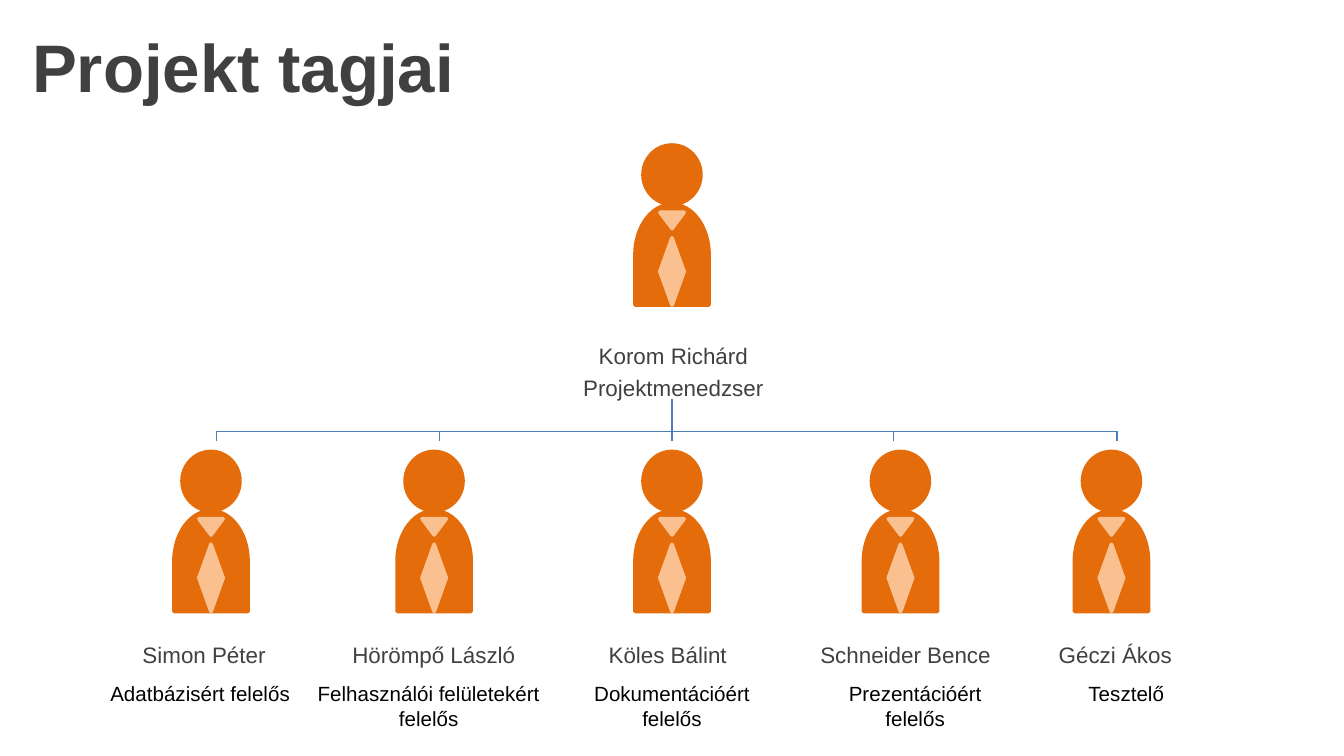
from lxml import etree
from pptx import Presentation
from pptx import util as u
from pptx.dml.color import RGBColor
from pptx.enum import shapes, text
from pptx.oxml.ns import qn

COLORS = {"body": "E46C0A", "tie": "FAC090", "line": "4B7EBC",
          "dark": "404040", "black": "000000"}
SHAPE = shapes.MSO_SHAPE
LEFT, CENTER = text.PP_ALIGN.LEFT, text.PP_ALIGN.CENTER
TOP, MIDDLE = text.MSO_ANCHOR.TOP, text.MSO_ANCHOR.MIDDLE


class Chart:
    font = "Arial"

    def __init__(self, slide):
        self.s = slide

    def color(self, name):
        return RGBColor.from_string(COLORS[name])

    def text(self, box, lines, size=12, color="dark", bold=False,
             align=CENTER, anchor=TOP, before=0, inset=0.1, tabs=()):
        sp = self.s.shapes.add_textbox(*map(u.Inches, box))
        tf = sp.text_frame
        frame = {"word_wrap": True, "vertical_anchor": anchor,
                 "margin_left": u.Inches(inset)}
        for key, value in frame.items():
            setattr(tf, key, value)
        for i, line in enumerate(lines):
            p = tf.paragraphs[0] if i == 0 else tf.add_paragraph()
            p.alignment, p.space_before = align, u.Pt(before)
            if tabs:
                stops = etree.SubElement(p._p.get_or_add_pPr(), qn("a:tabLst"))
                for x in tabs:
                    pos = u.Inches(x - box[0] - inset)
                    etree.SubElement(stops, qn("a:tab"), pos=str(int(pos)), algn="ctr")
            r = p.add_run()
            r.text = line
            style = {"name": self.font, "size": u.Pt(size), "bold": bold}
            for key, value in style.items():
                setattr(r.font, key, value)
            r.font.color.rgb = self.color(color)

    def person(self, x, y):
        group = self.s.shapes.add_group_shape()
        parts = [
            (SHAPE.OVAL, 0, 0.43, 0.44, 0, "body"),
            (SHAPE.FLOWCHART_DELAY, 0.54, 0.75, 0.55, 270, "body"),
            (SHAPE.ISOSCELES_TRIANGLE, 0.5, 0.18, 0.12, 180, "tie"),
            (SHAPE.ISOSCELES_TRIANGLE, 0.69, 0.18, 0.25, 0, "tie"),
            (SHAPE.ISOSCELES_TRIANGLE, 0.94, 0.18, 0.25, 180, "tie"),
        ]
        for kind, dy, w, h, turn, color in parts:
            sp = group.shapes.add_shape(
                kind, *map(u.Inches, (x - w / 2, y + dy, w, h)))
            sp.rotation = turn
            sp.shadow.inherit = False
            sp.fill.solid()
            sp.fill.fore_color.rgb = self.color(color)
            sp.line.color.rgb = self.color(color)
            sp.line.width = u.Pt(2)

    def line(self, x1, y1, x2, y2):
        c = self.s.shapes.add_connector(
            shapes.MSO_CONNECTOR.STRAIGHT, *map(u.Inches, (x1, y1, x2, y2)))
        c.line.color.rgb = self.color("line")
        c.line.width = u.Pt(0.75)
        etree.SubElement(c._element.spPr, qn("a:effectLst"))


prs = Presentation()
prs.slide_width = u.Inches(10)
prs.slide_height = prs.slide_width * 9 // 16
chart = Chart(prs.slides.add_slide(prs.slide_layouts[6]))

members = [
    ("Simon Péter", 1.57, 1.61, 1.52, "Adatbázisért felelős", 1.49, 1.65),
    ("Hörömpő László", 3.23, 3.27, 3.23, "Felhasználói felületekért felelős", 3.19, 1.89),
    ("Köles Bálint", 5, 5, 4.97, "Dokumentációért felelős", 5, 1.42),
    ("Schneider Bence", 6.7, 6.65, 6.74, "Prezentációért felelős", 6.81, 1.26),
    ("Géczi Ákos", 8.27, 8.31, 8.3, "Tesztelő", 8.38, 0.79),
]
names = "".join("\t" + m[0] for m in members)
chart.text((0.28, 4.62, 9.29, 0.5), [names], align=LEFT, anchor=MIDDLE,
           tabs=[m[3] for m in members])
chart.text((1.93, 2.5, 5.83, 0.47), ["Korom Richárd", "Projektmenedzser"],
           before=2.4, inset=0.43)
chart.text((0, 0, 10, 0.97), ["Projekt tagjai"], size=36, bold=True,
           align=LEFT, anchor=MIDDLE, inset=0.24)
chart.person(5, 1.08)

BAR = 3.21
chart.line(members[0][2], BAR, members[-1][2], BAR)
chart.line(5, BAR, 5, 2.97)
for _, x, tick, _, role, role_x, role_w in members:
    chart.person(x, 3.36)
    chart.line(tick, BAR, tick, 3.28)
    chart.text((role_x - role_w / 2, 5.02, role_w, 0.47), [role],
               size=11, color="black")

prs.save("out.pptx")
